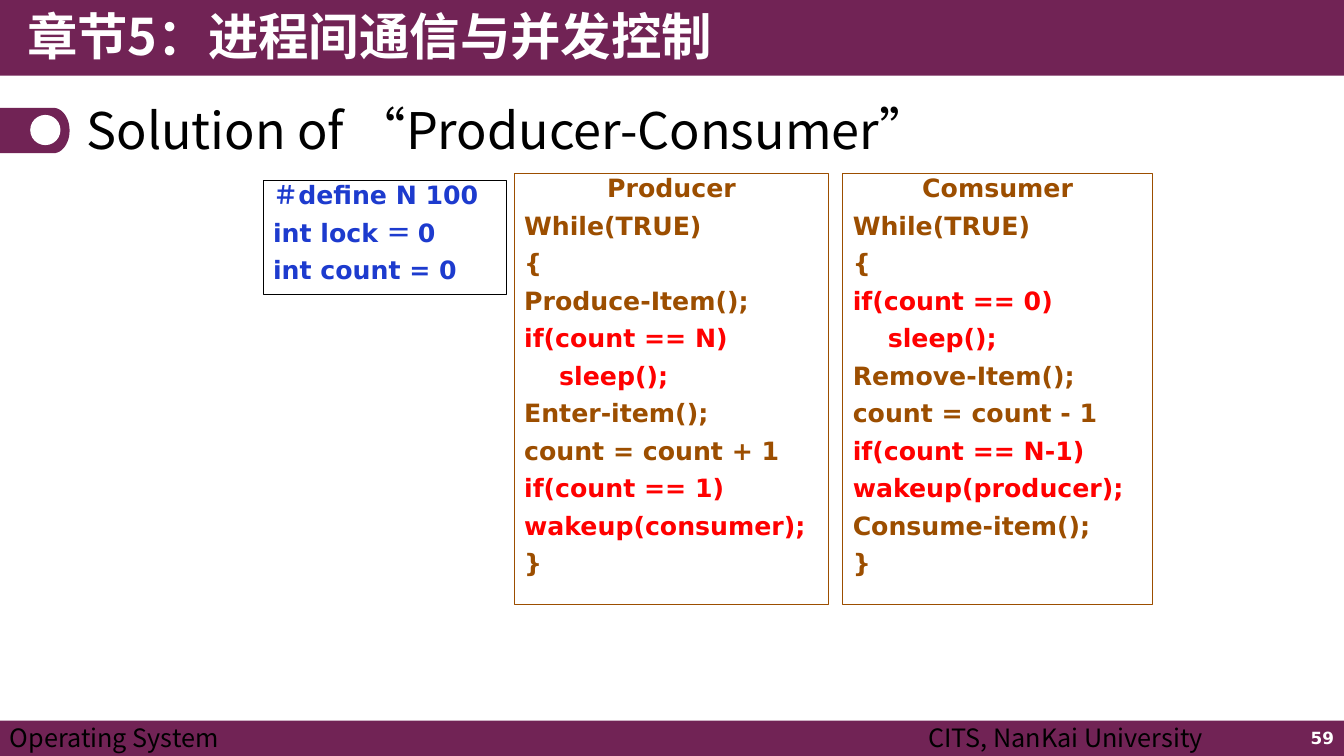
from math import cos, pi, sin
from lxml.etree import SubElement
from pptx import Presentation
from pptx.dml.color import RGBColor
from pptx.enum.shapes import MSO_SHAPE
from pptx.enum.text import MSO_ANCHOR, PP_ALIGN
from pptx.oxml.ns import qn
from pptx.util import Inches, Pt

PURPLE = RGBColor(0x71, 0x23, 0x55)
WHITE = RGBColor(0xFF, 0xFF, 0xFF)
BLACK = RGBColor(0x00, 0x00, 0x00)
BROWN = RGBColor(0x9C, 0x4E, 0x00)
RED = RGBColor(0xFF, 0x00, 0x00)
BLUE = RGBColor(0x1D, 0x3B, 0xCE)
SANS = "DejaVu Sans"
CJK = "Noto Sans CJK SC"


def add_span(para, text, font, size, color, bold):
    span = para.add_run()
    span.text = text
    span.font.name = font
    span.font.size = Pt(size)
    span.font.bold = bold
    span.font.color.rgb = color
    SubElement(span.font._element, qn("a:ea"), typeface=CJK)


def paint(shape, fill):
    shape.shadow.inherit = False
    shape.fill.solid()
    shape.fill.fore_color.rgb = fill
    shape.line.fill.background()


deck = Presentation()
deck.slide_width = Inches(13.33)
deck.slide_height = Inches(7.5)
page = deck.slides.add_slide(deck.slide_layouts[6])

for top, height in [(7.15, 0.36), (0, 0.75)]:
    band = page.shapes.add_shape(
        MSO_SHAPE.RECTANGLE, 0, Inches(top), Inches(13.33), Inches(height))
    paint(band, PURPLE)

steps = 24
angles = [pi * step / steps - pi / 2 for step in range(steps + 1)]
arc = [(Inches(0.53 + 0.16 * cos(angle)), Inches(1.295 + 0.225 * sin(angle)))
       for angle in angles]
outline = page.shapes.build_freeform(0, Inches(1.07))
outline.add_line_segments(arc + [(0, Inches(1.52))], close=True)
paint(outline.convert_to_shape(), PURPLE)
dot = page.shapes.add_shape(
    MSO_SHAPE.OVAL, Inches(0.3), Inches(1.14), Inches(0.3), Inches(0.3))
paint(dot, WHITE)

labels = [
    (0.17, 0, 7.44, 0.77, "章节5：进程间通信与并发控制", CJK, 36, WHITE, True, MSO_ANCHOR.TOP),
    (10.33, 7.14, 3, 0.36, "59", SANS, 12, WHITE, True, MSO_ANCHOR.MIDDLE),
    (0.76, 0.95, 11.81, 0.74, "Solution of “Producer-Consumer”", CJK, 36, BLACK, False,
     MSO_ANCHOR.MIDDLE),
    (0, 7.12, 3.67, 0.33, "Operating System", CJK, 18, BLACK, False, MSO_ANCHOR.TOP),
    (9.11, 7.12, 4.22, 0.33, "CITS, NanKai University", CJK, 18, BLACK, False, MSO_ANCHOR.TOP),
]
for left, top, width, height, text, font, size, color, bold, anchor in labels:
    box = page.shapes.add_textbox(Inches(left), Inches(top), Inches(width), Inches(height))
    box.text_frame.word_wrap = True
    box.text_frame.vertical_anchor = anchor
    para = box.text_frame.paragraphs[0]
    if text == "59":
        para.alignment = PP_ALIGN.RIGHT
    if text.startswith("Solution"):
        para.line_spacing = 0.9
    add_span(para, text, font, size, color, bold)

producer = [
    ("Producer", BROWN), ("While(TRUE)", BROWN), ("{", BROWN),
    ("Produce-Item();", BROWN), ("if(count == N)", RED), ("    sleep();", RED),
    ("Enter-item();", BROWN), ("count = count + 1", BROWN),
    ("if(count == 1)", RED), ("wakeup(consumer);", RED), ("}", BROWN),
]
shared = [("＃define N 100", BLUE), ("int lock ＝ 0", BLUE), ("int count = 0", BLUE)]
consumer = [
    ("Comsumer", BROWN), ("While(TRUE)", BROWN), ("{", BROWN),
    ("if(count == 0)", RED), ("    sleep();", RED), ("Remove-Item();", BROWN),
    ("count = count - 1", BROWN), ("if(count == N-1)", RED),
    ("wakeup(producer);", RED), ("Consume-item();", BROWN), ("}", BROWN),
]
listings = [
    (5.1, 1.72, 3.12, 4.28, BROWN, PP_ALIGN.CENTER, producer),
    (2.61, 1.79, 2.41, 1.13, BLACK, PP_ALIGN.LEFT, shared),
    (8.36, 1.72, 3.07, 4.28, BROWN, PP_ALIGN.CENTER, consumer),
]
for left, top, width, height, border, heading_align, lines in listings:
    box = page.shapes.add_shape(
        MSO_SHAPE.RECTANGLE, Inches(left), Inches(top), Inches(width), Inches(height))
    box.shadow.inherit = False
    box.fill.background()
    box.line.color.rgb = border
    box.line.width = Pt(0.75)
    frame = box.text_frame
    frame.word_wrap = True
    frame.vertical_anchor = MSO_ANCHOR.TOP
    for index, (text, color) in enumerate(lines):
        para = frame.add_paragraph() if index else frame.paragraphs[0]
        para.alignment = PP_ALIGN.LEFT if index else heading_align
        para.line_spacing = 0.8
        if index:
            para.space_before = Pt(9.5)
        add_span(para, text, SANS, 18, color, True)

deck.save("out.pptx")
